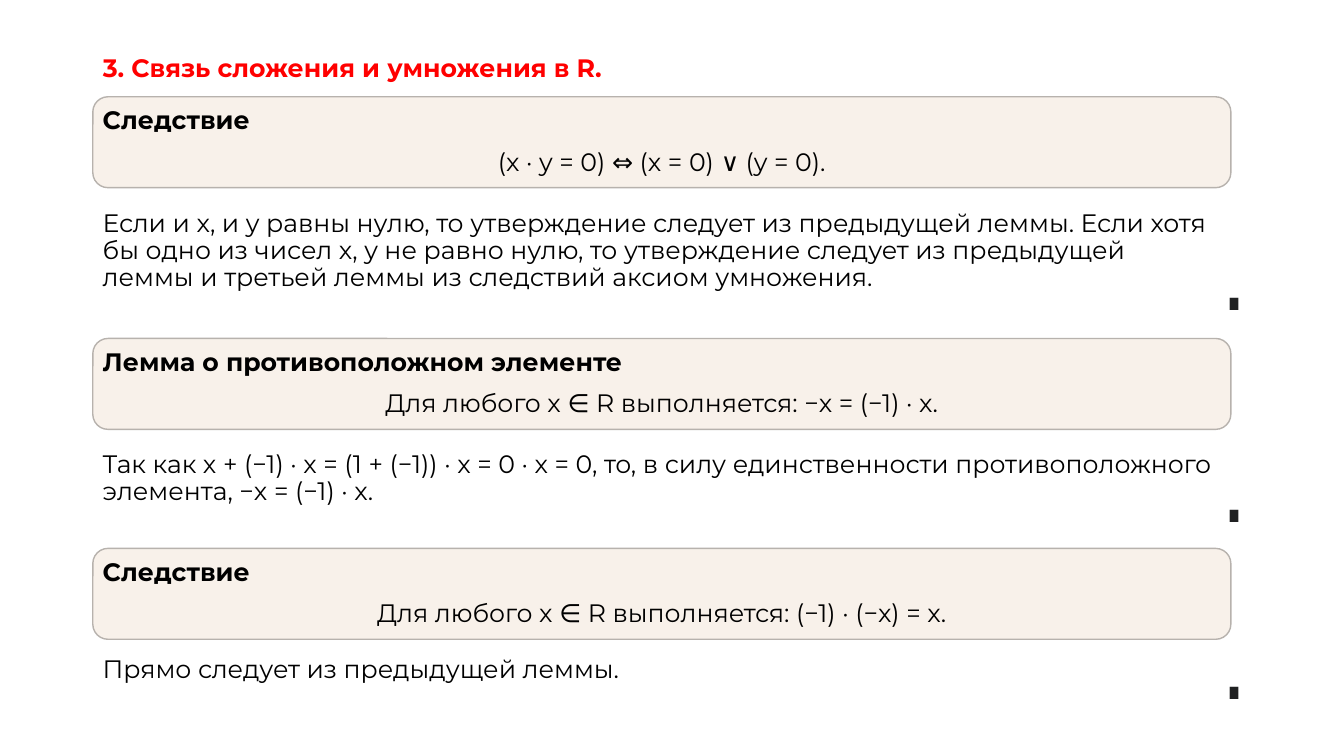
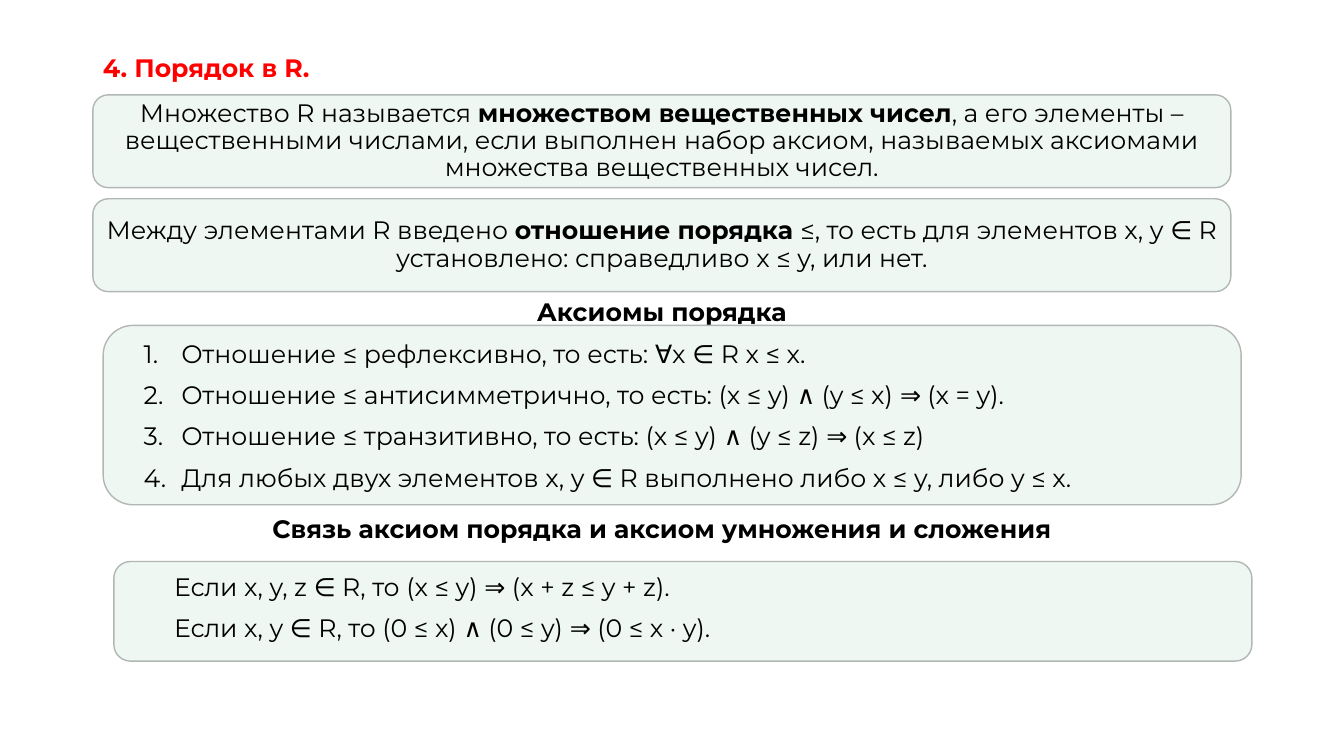
from lxml import etree
from pptx import Presentation
from pptx.dml.color import RGBColor
from pptx.enum.shapes import MSO_SHAPE
from pptx.enum.text import MSO_ANCHOR, MSO_AUTO_SIZE, PP_ALIGN
from pptx.oxml.ns import qn
from pptx.util import Cm, Pt

ROUND = MSO_SHAPE.ROUNDED_RECTANGLE
TOP, MIDDLE = MSO_ANCHOR.TOP, MSO_ANCHOR.MIDDLE
LEFT, CENTER, RIGHT = PP_ALIGN.LEFT, PP_ALIGN.CENTER, PP_ALIGN.RIGHT
FIXED = MSO_AUTO_SIZE.NONE
COLORS = {
    "title": "FF0000", "text": "000000", "mark": "202122",
    "sand": "F8F1EA", "sand_line": "B7B2AD",
    "mint": "EFF7F3", "mint_line": "B1B7B4",
}
FONT, SIZE = "Montserrat", 18
PAD_X, PAD_Y = 0.25, 0.13
EDGE, WIDTH = 2.34, 28.68
CORNER = 0.29 / 6


def color(name):
    """Return a palette colour."""
    return RGBColor.from_string(COLORS[name])


def write(para, runs, align=LEFT, ink="text", font=FONT, space=10, lead=0.9):
    """Fill a paragraph with (text, bold) runs."""
    para.alignment = align
    para.line_spacing = lead
    para.space_before = Pt(space)
    for text, bold in runs:
        run = para.add_run()
        run.text = text
        run.font.name = font
        run.font.size = Pt(SIZE)
        run.font.bold = bold
        run.font.color.rgb = color(ink)


def setup(frame, pad_x=PAD_X, pad_y=PAD_Y, anchor=TOP):
    """Set wrapping, insets and anchor of a text frame."""
    frame.word_wrap = True
    frame.auto_size = FIXED
    frame.vertical_anchor = anchor
    frame.margin_left = Cm(pad_x)
    frame.margin_right = Cm(min(pad_x, PAD_X))
    frame.margin_top = Cm(pad_y)
    frame.margin_bottom = Cm(min(pad_y, PAD_Y))


def lines(frame, rows):
    """Write rows of (runs, align) and return the paragraphs."""
    for index, (runs, align) in enumerate(rows):
        para = frame.add_paragraph() if index else frame.paragraphs[0]
        write(para, runs, align)
    return frame.paragraphs


def number(para):
    """Number a paragraph with a hanging indent."""
    props = para._p.get_or_add_pPr()
    props.set("marL", str(Cm(0.95)))
    props.set("indent", str(-Cm(0.95)))
    etree.SubElement(props, qn("a:buFont")).set("typeface", "+mj-lt")
    etree.SubElement(props, qn("a:buAutoNum")).set("type", "arabicPeriod")


def start(deck, text):
    """Add a slide with the shared title style."""
    slide = deck.slides.add_slide(deck.slide_layouts[5])
    title = slide.shapes.title
    title.left, title.top = Cm(EDGE), Cm(1.12)
    title.width, title.height = Cm(29.21), Cm(1.27)
    setup(title.text_frame, anchor=MIDDLE)
    write(title.text_frame.paragraphs[0], [(text, True)], ink="title", space=0)
    return slide


def label(slide, box, runs, align=LEFT, **style):
    """Add a text box with one paragraph."""
    shape = slide.shapes.add_textbox(*map(Cm, box))
    setup(shape.text_frame)
    write(shape.text_frame.paragraphs[0], runs, align, **style)


def card(slide, box, rows, tint, pad_x=PAD_X, pad_y=PAD_Y, anchor=MIDDLE):
    """Add a rounded card whose text starts at the given inset."""
    shape = slide.shapes.add_shape(ROUND, *map(Cm, box))
    shape.shadow.inherit = False
    shape.fill.solid()
    shape.fill.fore_color.rgb = color(tint)
    shape.line.color.rgb = color(tint + "_line")
    shape.line.width = Pt(1)
    trim = box[3] * CORNER
    setup(shape.text_frame, pad_x - trim, max(pad_y - trim, 0), anchor)
    return lines(shape.text_frame, rows)


def lemma(slide, box, head, claim, proof, gap, drop):
    """Add a claim card, its proof below and the end mark."""
    left, top, width, height = box
    card(slide, box, [([(head, True)], LEFT), ([(claim, False)], CENTER)], "sand")
    label(slide, (left, top + gap, width, 2.62), [(proof, False)])
    label(slide, (left, top + drop, width + 0.53, 1.02), [("∎", False)], RIGHT,
          ink="mark", font="Arial", space=0, lead=1.0)


def links(deck):
    """Build the slide on addition and multiplication."""
    slide = start(deck, "3. Связь сложения и умножения в R.")
    items = [
        (2.44, "Cледствие", "(x · y = 0) ⇔ (x = 0) ∨ (y = 0).",
         "Если и x, и y равны нулю, то утверждение следует из предыдущей леммы. "
         "Если хотя бы одно из чисел x, y не равно нулю, то утверждение следует "
         "из предыдущей леммы и третьей леммы из следствий аксиом умножения.",
         2.74, 4.62),
        (8.53, "Лемма о противоположном элементе",
         "Для любого x ∈ R выполняется: −x = (−1) · x.",
         "Так как x + (−1) · x = (1 + (−1)) · x = 0 · x = 0, то, в силу "
         "единственности противоположного элемента, −x = (−1) · x.",
         2.72, 3.87),
        (13.82, "Cледствие", "Для любого x ∈ R выполняется: (−1) · (−x) = x.",
         "Прямо следует из предыдущей леммы.", 2.59, 3.05),
    ]
    for top, *rest in items:
        lemma(slide, (EDGE, top, WIDTH, 2.29), *rest)


def order(deck):
    """Build the slide on the order axioms."""
    slide = start(deck, "4. Порядок в R.")
    terms = [
        [("Множество R называется ", False),
         ("множеством вещественных чисел", True),
         (", а его элементы – вещественными числами, если выполнен набор "
          "аксиом, называемых аксиомами множества вещественных чисел.", False)],
        [("Между элементами R введено ", False),
         ("отношение порядка ", True),
         ("≤, то есть для элементов x, y ∈ R установлено: "
          "справедливо x ≤ y, или нет.", False)],
    ]
    for index, runs in enumerate(terms):
        box = (EDGE, 2.39 + 2.62 * index, WIDTH, 2.34)
        card(slide, box, [(runs, CENTER)], "mint")
    heads = [(7.42, "Аксиомы порядка"),
             (12.88, "Связь аксиом порядка и аксиом умножения и сложения")]
    for top, text in heads:
        label(slide, (EDGE, top, WIDTH, 1.02), [(text, True)], CENTER)
    rules = [
        "Отношение ≤ рефлексивно, то есть: ∀x ∈ R x ≤ x.",
        "Отношение ≤ антисимметрично, то есть: (x ≤ y) ∧ (y ≤ x) ⇒ (x = y).",
        "Отношение ≤ транзитивно, то есть: (x ≤ y) ∧ (y ≤ z) ⇒ (x ≤ z)",
        "Для любых двух элементов x, y ∈ R выполнено либо x ≤ y, либо y ≤ x.",
    ]
    ties = ["Если x, y, z ∈ R, то (x ≤ y) ⇒ (x + z ≤ y + z).",
            "Если x, y ∈ R, то (0 ≤ x) ∧ (0 ≤ y) ⇒ (0 ≤ x · y)."]
    rows = [([(text, False)], LEFT) for text in rules]
    for para in card(slide, (2.6, 8.2, WIDTH, 4.52), rows, "mint", 1.02, 0.41, TOP):
        number(para)
    rows = [([(text, False)], LEFT) for text in ties]
    card(slide, (2.87, 14.15, WIDTH, 2.51), rows, "mint", 1.52, 0.33, TOP)


def main():
    """Build and save the deck."""
    deck = Presentation()
    deck.slide_width, deck.slide_height = Cm(33.87), Cm(19.05)
    links(deck)
    order(deck)
    deck.save("out.pptx")


if __name__ == "__main__":
    main()
